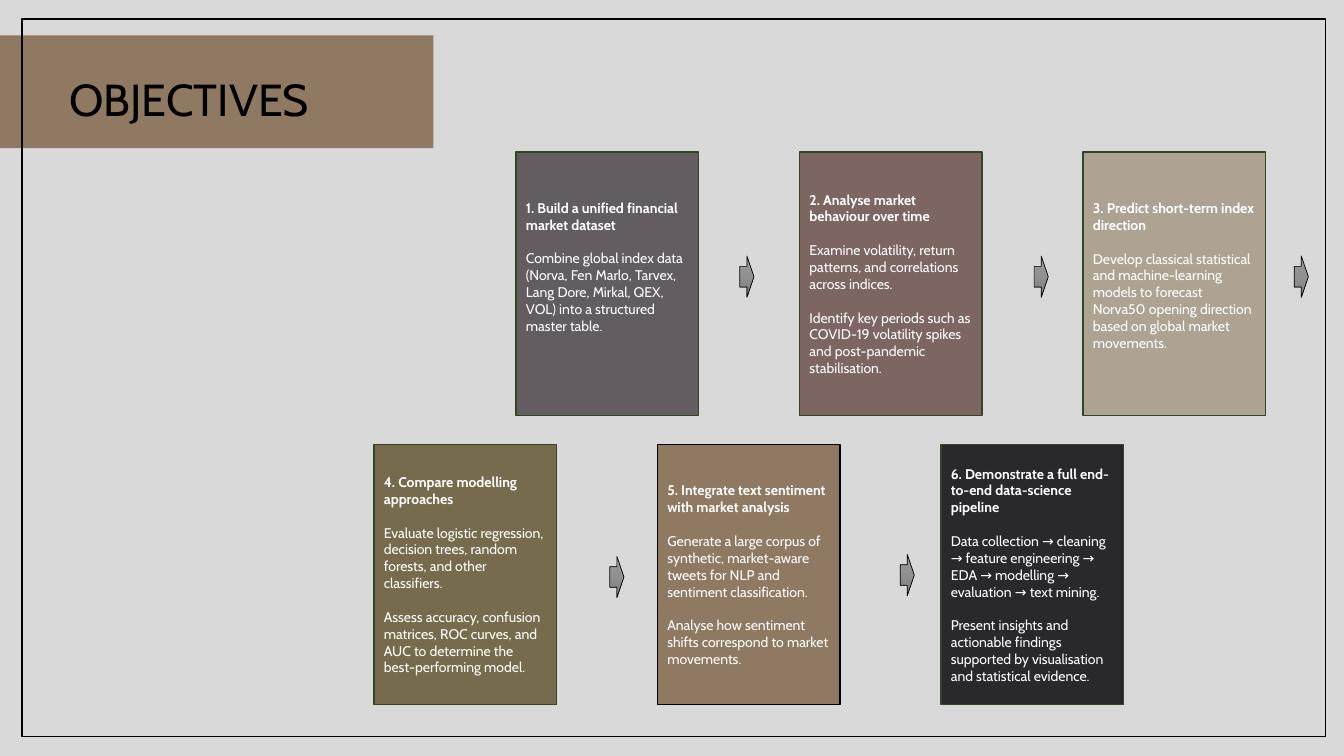
from copy import deepcopy

from pptx import Presentation
from pptx.dml.color import RGBColor
from pptx.enum.shapes import MSO_SHAPE
from pptx.enum.text import MSO_ANCHOR, PP_ALIGN
from pptx.oxml.ns import qn
from pptx.util import Pt

RECT, ARROW = MSO_SHAPE.RECTANGLE, MSO_SHAPE.RIGHT_ARROW
LEFT, MIDDLE, BOTTOM = PP_ALIGN.LEFT, MSO_ANCHOR.MIDDLE, MSO_ANCHOR.BOTTOM

BLACK = RGBColor(0x00, 0x00, 0x00)
WHITE = RGBColor(0xFF, 0xFF, 0xFF)
PAPER = RGBColor(0xD9, 0xD9, 0xD9)
GREEN = RGBColor(0x33, 0x46, 0x24)
BROWN = RGBColor(0x8F, 0x79, 0x62)
SLATE = RGBColor(0x63, 0x5C, 0x60)
MAUVE = RGBColor(0x7D, 0x66, 0x61)
SAND = RGBColor(0xAE, 0xA3, 0x93)
OLIVE = RGBColor(0x77, 0x6B, 0x4D)
INK = RGBColor(0x29, 0x28, 0x2D)
ARROW_STOPS = [(0, RGBColor(0x9D, 0x9D, 0x9D)),
               (0.5, RGBColor(0x90, 0x90, 0x90)),
               (1, RGBColor(0x7C, 0x7C, 0x7C))]

# Content
FONT = "Cabin"
TITLE = "OBJECTIVES"
# Each card: fill, line, lines of text it is raised by, heading, body paragraphs
TOP_CARDS = [
    (SLATE, GREEN, 2, "1. Build a unified financial market dataset",
     ["Combine global index data (Norva, Fen Marlo, Tarvex, Lang Dore, Mirkal, "
      "QEX, VOL) into a structured master table."]),
    (MAUVE, GREEN, 0, "2. Analyse market behaviour over time",
     ["Examine volatility, return patterns, and correlations across indices.",
      "Identify key periods such as COVID-19 volatility spikes and "
      "post-pandemic stabilisation."]),
    (SAND, GREEN, 1, "3. Predict short-term index direction",
     ["Develop classical statistical and machine-learning models to forecast "
      "Norva50 opening direction based on global market movements."]),
]
BOTTOM_CARDS = [
    (OLIVE, GREEN, 0, "4. Compare modelling approaches",
     ["Evaluate logistic regression, decision trees, random forests, and other "
      "classifiers.",
      "Assess accuracy, confusion matrices, ROC curves, and AUC to determine "
      "the best-performing model."]),
    (BROWN, BLACK, 0, "5. Integrate text sentiment with market analysis",
     ["Generate a large corpus of synthetic, market-aware tweets for NLP and "
      "sentiment classification.",
      "Analyse how sentiment shifts correspond to market movements."]),
    (INK, GREEN, 0, "6. Demonstrate a full end-to-end data-science pipeline",
     ["Data collection → cleaning → feature engineering → EDA → modelling → "
      "evaluation → text mining.",
      "Present insights and actionable findings supported by visualisation "
      "and statistical evidence."]),
]

# Layout: left, top, height, cards
ROWS = [(368.6, 108.7, 187.9, TOP_CARDS), (267.1, 317.5, 185.8, BOTTOM_CARDS)]
CARD_W, PITCH, LINE_H = 130.3, 202.5, 12.1
ARROWS = [(528.5, 182.9), (738.7, 182.9), (924.5, 182.9),
          (435.6, 397.4), (643, 396)]
ARROW_W, ARROW_H = 10.1, 29.5

prs = Presentation()
prs.slide_width, prs.slide_height = Pt(960), Pt(540)
s = prs.slides.add_slide(prs.slide_layouts[6])
s.background.fill.solid()
s.background.fill.fore_color.rgb = PAPER


def add_box(kind, x, y, w, h, fill=None, line=None, width=1):
    sp = s.shapes.add_shape(kind, Pt(x), Pt(y), Pt(w), Pt(h))
    sp.shadow.inherit = False
    if fill is None:
        sp.fill.background()
    else:
        sp.fill.solid()
        sp.fill.fore_color.rgb = fill
    if line is None:
        sp.line.fill.background()
    else:
        sp.line.color.rgb = line
        sp.line.width = Pt(width)
    return sp


def write(p, text, color, **formats):
    p.alignment = LEFT
    r = p.add_run()
    r.text = text
    r.font.color.rgb = color
    for name, value in {"name": FONT, **formats}.items():
        setattr(r.font, name, value)


# Objective cards
for left, top, height, cards in ROWS:
    for i, (fill, line, raised, heading, body) in enumerate(cards):
        sp = add_box(RECT, left + i * PITCH, top, CARD_W, height, fill, line)
        tf = sp.text_frame
        tf.word_wrap = True
        tf.vertical_anchor = MIDDLE
        tf.margin_bottom = Pt(3.6 + raised * LINE_H)
        write(tf.paragraphs[0], heading, WHITE, size=Pt(10), bold=True)
        for text in body:
            p = tf.add_paragraph()
            p.space_before = Pt(LINE_H)
            write(p, text, WHITE, size=Pt(10), bold=False)

# Arrows between cards
for x, y in ARROWS:
    sp = add_box(ARROW, x, y, ARROW_W, ARROW_H, line=BLACK, width=0.5)
    sp.fill.gradient()
    sp.fill.gradient_angle = 270
    stops = sp._element.spPr.find(qn("a:gradFill")).find(qn("a:gsLst"))
    stops.append(deepcopy(stops[0]))
    for stop, (position, color) in zip(sp.fill.gradient_stops, ARROW_STOPS):
        stop.position = position
        stop.color.rgb = color

# Title band and title
add_box(RECT, 0, 25.2, 309.6, 80.6, BROWN)
tf = s.shapes.add_textbox(Pt(42.5), Pt(0), Pt(285.1), Pt(92.9)).text_frame
tf.word_wrap = True
tf.vertical_anchor = BOTTOM
tf.paragraphs[0].line_spacing = Pt(40)
write(tf.paragraphs[0], TITLE, BLACK, size=Pt(32))

# Frame
add_box(RECT, 15.8, 13.7, 931, 512.6, line=BLACK)

prs.save("out.pptx")
